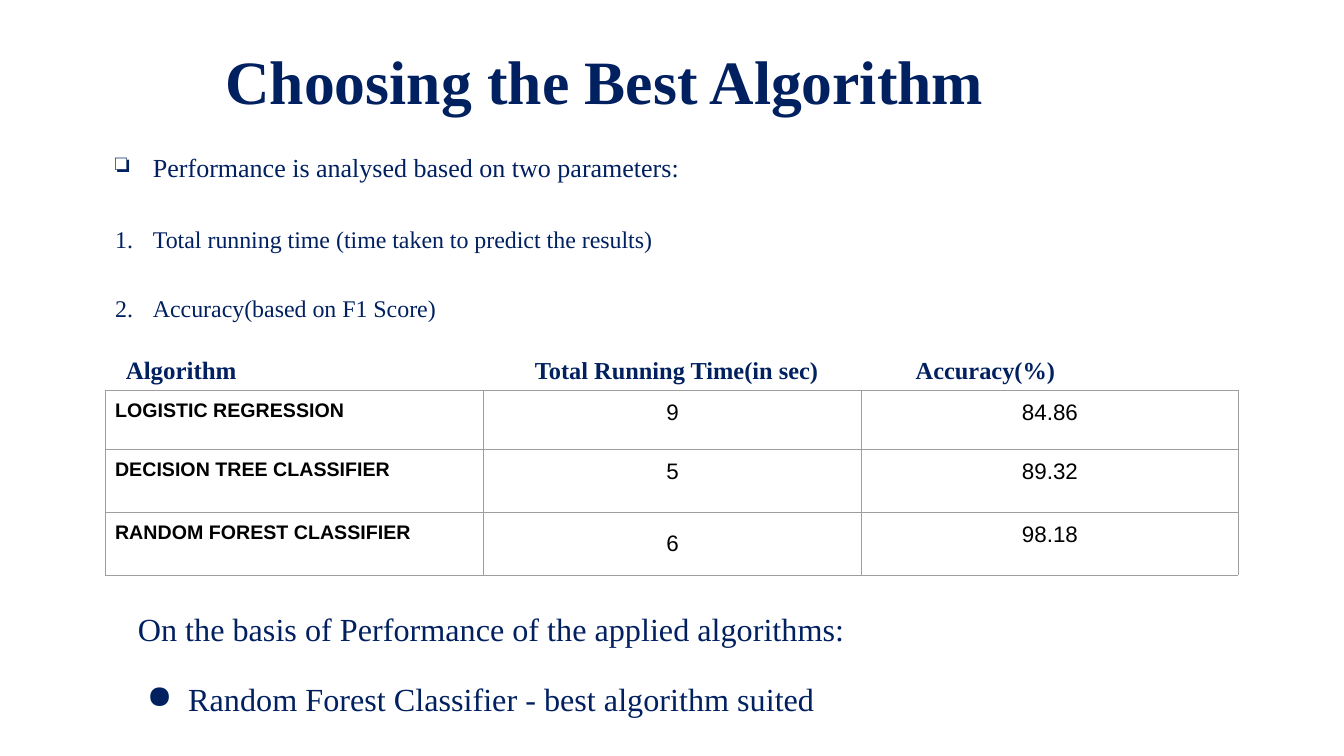
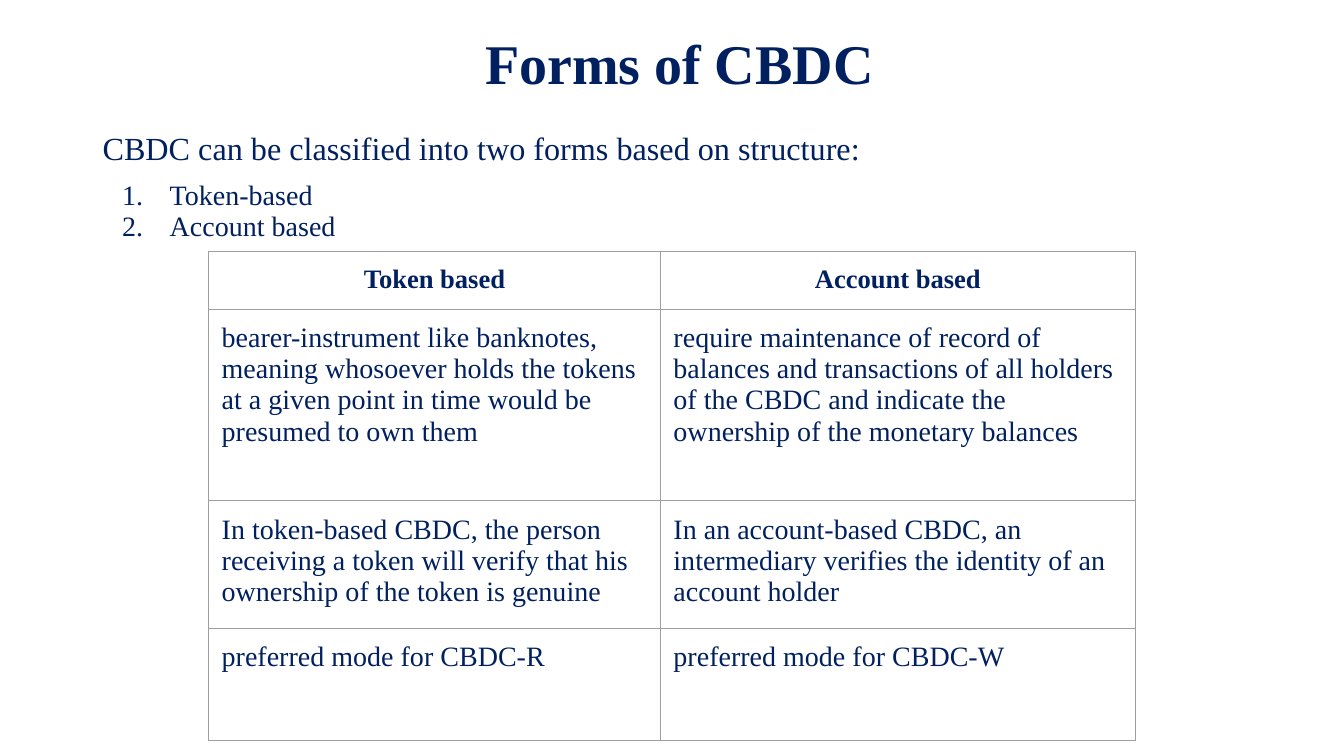
"""Build two slides: choosing an algorithm and the forms of CBDC."""
from lxml import etree
from pptx import Presentation
from pptx.dml.color import RGBColor
from pptx.enum import text
from pptx.oxml import ns
from pptx.util import Pt

NAVY, BLACK, GREY = "002060", "000000", "9E9E9E"
SERIF, SANS = "Times New Roman", "Arial"
LEFT, CENTER = text.PP_ALIGN.LEFT, text.PP_ALIGN.CENTER
TOP, MIDDLE = text.MSO_ANCHOR.TOP, text.MSO_ANCHOR.MIDDLE


def rgb(value):
    return RGBColor.from_string(value)


def add_child(parent, tag, **attrs):
    return etree.SubElement(parent, ns.qn(tag), attrs)


def style(p, size, color=NAVY, bold=False, name=SERIF, align=LEFT):
    p.alignment = align
    p.font.size, p.font.bold, p.font.name = Pt(size), bold, name
    p.font.color.rgb = rgb(color)


def set_bullet(p, mark, margin, hang):
    pPr = p._p.get_or_add_pPr()
    pPr.set("marL", str(Pt(margin)))
    pPr.set("indent", str(Pt(-hang)))
    add_child(add_child(pPr, "a:buClr"), "a:srgbClr", val=NAVY)
    if mark == "1.":
        add_child(pPr, "a:buAutoNum", type="arabicPeriod")
    else:
        add_child(pPr, "a:buChar", char=mark)


def add_text(s, box, lines, spacing=0.9, anchor=TOP, inset=3.6, **look):
    sp = s.shapes.add_textbox(*map(Pt, box))
    tf = sp.text_frame
    tf.word_wrap, tf.vertical_anchor = True, anchor
    tf.margin_top = tf.margin_bottom = Pt(inset)
    for i, (words, size, before, bullet) in enumerate(lines):
        p = tf.add_paragraph() if i else tf.paragraphs[0]
        p.text = words
        p.line_spacing, p.space_before = spacing, Pt(before)
        if bullet:
            set_bullet(p, *bullet)
        style(p, size, **look)


def add_title(s, box, words, size, align=LEFT):
    add_text(s, box, [(words, size, 0, None)], anchor=MIDDLE, bold=True, align=align)


def set_borders(cell):
    tcPr = cell._tc.get_or_add_tcPr()
    for side in "LRTB":
        ln = add_child(tcPr, f"a:ln{side}", w=str(Pt(0.75)))
        add_child(add_child(ln, "a:solidFill"), "a:srgbClr", val=GREY)


def add_table(s, left, top, widths, heights, rows, inset, look):
    frame = s.shapes.add_table(len(rows), len(widths), Pt(left), Pt(top),
                               Pt(sum(widths)), Pt(sum(heights)))
    table = frame.table
    table.first_row = table.horz_banding = False
    for column, width in zip(table.columns, widths):
        column.width = Pt(width)
    for r, (row, height) in enumerate(zip(rows, heights)):
        table.rows[r].height = Pt(height)
        for c, words in enumerate(row):
            cell = table.cell(r, c)
            cell.margin_left = cell.margin_right = Pt(inset)
            cell.margin_top = cell.margin_bottom = Pt(inset)
            set_borders(cell)
            cell.fill.background()
            cell.text = words
            style(cell.text_frame.paragraphs[0], **look(r, c))
    return table


def algorithm_look(r, c):
    look = dict(size=16, align=CENTER) if c else dict(size=14, bold=True)
    return dict(look, color=BLACK, name=SANS)


def forms_look(r, c):
    return dict(size=20) if r else dict(size=19, bold=True, align=CENTER)


def algorithm_slide(s):
    add_title(s, (154, 28.8, 700, 62.6), "Choosing the Best Algorithm", 44)
    add_text(s, (66.2, 111, 828, 130), [
        ("Performance is analysed based on two parameters:", 18.6, 0, ("❏", 36, 27)),
        ("Total running time (time taken to predict the results)", 17.1, 36, ("1.", 36, 27)),
        ("Accuracy(based on F1 Score)", 17.1, 35, ("1.", 36, 27)),
    ], spacing=0.7)
    for left, label, size in ((82.8, "Algorithm", 17.8),
                              (375, "Total Running Time(in sec)", 17.4),
                              (647, "Accuracy(%)", 17.4)):
        add_text(s, (left, 253.5, 240, 22), [(label, size, 0, None)],
                 spacing=1, inset=0, bold=True)
    table = add_table(s, 75, 278.6, [270, 270.7, 268.6], [42.2, 45, 45], [
        ("LOGISTIC REGRESSION", "9", "84.86"),
        ("DECISION TREE CLASSIFIER", "5", "89.32"),
        ("RANDOM FOREST CLASSIFIER", "6", "98.18"),
    ], 7.2, algorithm_look)
    table.cell(2, 1).vertical_anchor = MIDDLE
    add_text(s, (91.4, 431, 789, 100), [
        ("On the basis of Performance of the applied algorithms:", 23, 0, None),
        ("Random Forest Classifier - best algorithm suited", 23, 25, ("●", 36, 29.5)),
    ], inset=7.2)


def forms_slide(s):
    add_title(s, (71.3, -13.7, 828, 122.4), "Forms of CBDC", 40, CENTER)
    add_text(s, (66.2, 91.4, 828, 88), [
        ("CBDC can be classified into two forms based on structure:", 23, 0, None),
        ("Token-based", 20, 10, ("1.", 48, 34)),
        ("Account based", 20, 0, ("1.", 48, 34)),
    ])
    add_table(s, 149, 179.6, [322.7, 339.3], [40.8, 136.6, 89.3, 80.3], [
        ("Token based", "Account based"),
        ("bearer-instrument like banknotes, meaning whosoever holds the tokens "
         "at a given point in time would be presumed to own them",
         "require maintenance of record of balances and transactions of all holders "
         "of the CBDC and indicate the ownership of the monetary balances"),
        ("In token-based CBDC, the person receiving a token will verify that his "
         "ownership of the token is genuine",
         "In an account-based CBDC, an intermediary verifies the identity of an "
         "account holder"),
        ("preferred mode for CBDC-R", "preferred mode for CBDC-W"),
    ], 9.4, forms_look)


def main():
    prs = Presentation()
    prs.slide_width, prs.slide_height = Pt(960), Pt(540)
    for build in (algorithm_slide, forms_slide):
        build(prs.slides.add_slide(prs.slide_layouts[6]))
    prs.save("out.pptx")


if __name__ == "__main__":
    main()
